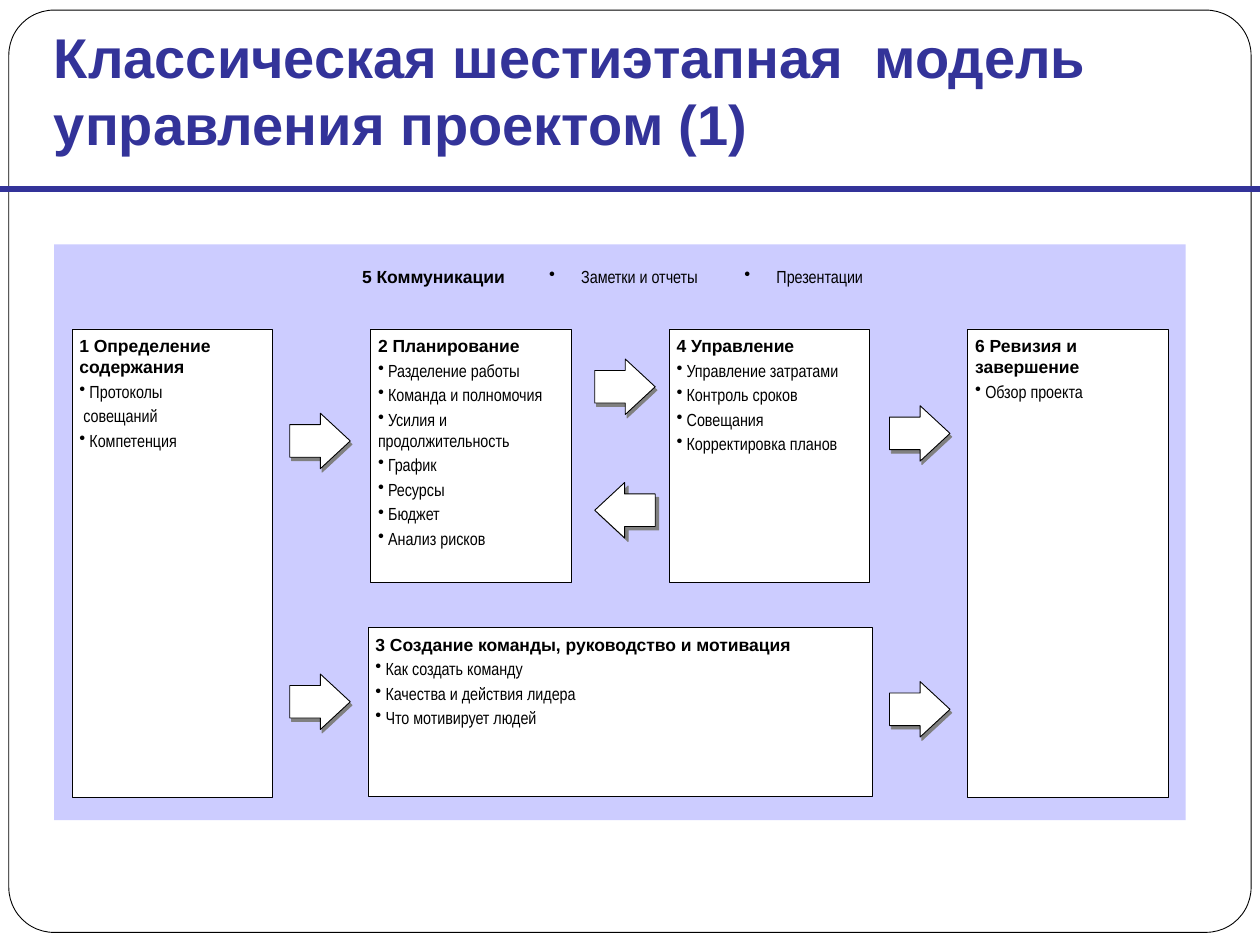
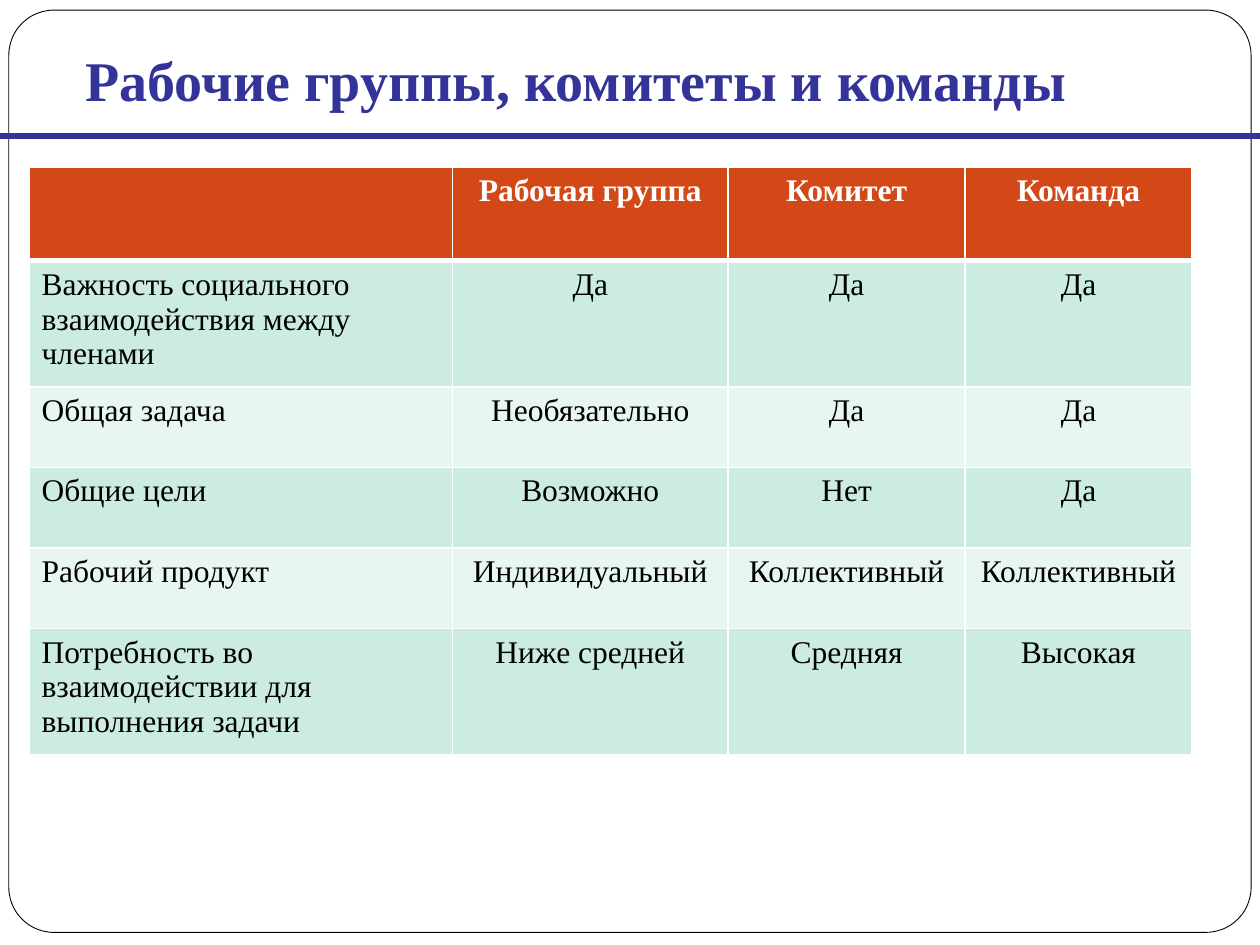
from dataclasses import dataclass

import pptx
import pptx.dml.color
import pptx.enum.shapes
import pptx.enum.text
import pptx.oxml
import pptx.oxml.ns
import pptx.util

Pt = pptx.util.Pt
PRESET = pptx.enum.shapes.MSO_SHAPE
ALIGN = pptx.enum.text.PP_ALIGN
ANCHOR = pptx.enum.text.MSO_ANCHOR


@dataclass(frozen=True)
class Theme:
    navy: str = "333399"
    black: str = "000000"
    white: str = "FFFFFF"
    lavender: str = "CCCCFF"
    shadow: str = "808080"
    header: str = "D34817"
    bands: tuple = ("CBECDE", "E7F6EF")
    sans: str = "Arial"
    narrow: str = "Arial Narrow"
    serif: str = "Times New Roman"
    title_size: int = 32
    table_size: int = 18
    small_size: int = 10


THEME = Theme()
BOX_INSETS = (4.32, 3.6)
LABEL_INSETS = (1.44, 3.6)

COLUMN_LEFT, COLUMN_STEP, COLUMN_WIDTH = 41.04, 170.64, 114.48
BOX_TOP, TALL_BOX, SHORT_BOX = 187.92, 267.84, 144.72

# Column, height, heading, items; an item is (text, has a bullet)
STAGES = [
    (0, TALL_BOX, "1 Определение содержания",
     [("Протоколы", True), ("совещаний", False), ("Компетенция", True)]),
    (1, SHORT_BOX, "2 Планирование",
     [("Разделение работы", True), ("Команда и полномочия", True),
      ("Усилия и продолжительность", True), ("График", True),
      ("Ресурсы", True), ("Бюджет", True), ("Анализ рисков", True)]),
    (2, SHORT_BOX, "4 Управление",
     [("Управление затратами", True), ("Контроль сроков", True),
      ("Совещания", True), ("Корректировка планов", True)]),
    (3, TALL_BOX, "6 Ревизия и завершение", [("Обзор проекта", True)]),
]
TEAM_STAGE = ("3 Создание команды, руководство и мотивация",
              [("Как создать команду", True),
               ("Качества и действия лидера", True),
               ("Что мотивирует людей", True)])

RIGHT_ARROWS = [(165.6, 236.16), (165.6, 385.2), (339.84, 205.2),
                (508.32, 231.84), (508.32, 389.52)]
LEFT_ARROW = (339.84, 275.76)

GROUP_COLUMNS = [241.92, 157.68, 135.36, 129.6]
GROUP_HEIGHTS = [53.28, 72, 46.08, 46.08, 46.08, 72]
GROUP_ROWS = [
    ("", "Рабочая группа", "Комитет", "Команда"),
    ("Важность социального взаимодействия между членами", "Да", "Да", "Да"),
    ("Общая задача", "Необязательно", "Да", "Да"),
    ("Общие цели", "Возможно", "Нет", "Да"),
    ("Рабочий продукт", "Индивидуальный", "Коллективный", "Коллективный"),
    ("Потребность во взаимодействии для выполнения задачи",
     "Ниже средней", "Средняя", "Высокая"),
]


def color(value):
    return pptx.dml.color.RGBColor.from_string(value)


def add_xml(parent, content):
    """Append an element given as text in the drawing namespace."""
    tag, rest = content[1:].split(" ", 1)
    namespace = pptx.oxml.ns.nsdecls("a")
    parent.append(pptx.oxml.parse_xml(f"<{tag} {namespace} {rest}"))


def add_run(paragraph, text, font, size, text_color=THEME.black, bold=False):
    run = paragraph.add_run()
    run.text = text
    run.font.name = font
    run.font.size = Pt(size)
    run.font.bold = bold
    run.font.color.rgb = color(text_color)


def set_bullet(paragraph, margin=0, hanging=0):
    properties = paragraph._p.get_or_add_pPr()
    properties.set("marL", str(Pt(margin)))
    properties.set("indent", str(-Pt(hanging)))
    add_xml(properties, '<a:buChar char="•"/>')


def set_insets(frame, horizontal, vertical):
    frame.margin_left = frame.margin_right = Pt(horizontal)
    frame.margin_top = frame.margin_bottom = Pt(vertical)
    frame.word_wrap = True


def add_shape(slide, preset, bounds, fill, line=None, width=0.5):
    shape = slide.shapes.add_shape(preset, *map(Pt, bounds))
    shape.shadow.inherit = False
    shape.fill.solid()
    shape.fill.fore_color.rgb = color(fill)
    if line:
        shape.line.color.rgb = color(line)
        shape.line.width = Pt(width)
    else:
        shape.line.fill.background()
    return shape


def add_text_box(slide, bounds, insets):
    frame = slide.shapes.add_textbox(*map(Pt, bounds)).text_frame
    set_insets(frame, *insets)
    return frame


def add_titled_slide(presentation, title, font, bounds, rule_top):
    """Add a slide with the rounded frame, the title and the rule below it."""
    slide = presentation.slides.add_slide(presentation.slide_layouts[6])
    frame = add_shape(slide, PRESET.ROUNDED_RECTANGLE,
                      (5.04, 5.76, 709.92, 527.04), THEME.white, THEME.black)
    frame.adjustments[0] = 0.049
    title_frame = add_text_box(slide, bounds, (7.2, 3.6))
    title_frame.vertical_anchor = ANCHOR.MIDDLE
    add_run(title_frame.paragraphs[0], title, font, THEME.title_size,
            THEME.navy, True)
    rule = slide.shapes.add_connector(
        pptx.enum.shapes.MSO_CONNECTOR.STRAIGHT,
        0, Pt(rule_top), presentation.slide_width, Pt(rule_top))
    rule.line.color.rgb = color(THEME.navy)
    rule.line.width = Pt(3)
    add_xml(rule._element.spPr, "<a:effectLst />")
    return slide


def add_stage(slide, bounds, heading, items):
    box = add_shape(slide, PRESET.RECTANGLE, bounds, THEME.white,
                    THEME.black, 0.25)
    frame = box.text_frame
    set_insets(frame, *BOX_INSETS)
    frame.vertical_anchor = ANCHOR.TOP
    add_run(frame.paragraphs[0], heading, THEME.sans, THEME.small_size,
            bold=True)
    for text, has_bullet in items:
        paragraph = frame.add_paragraph()
        add_run(paragraph, " " + text, THEME.narrow, THEME.small_size)
        if has_bullet:
            paragraph.space_before = Pt(2)
            set_bullet(paragraph)
    for paragraph in frame.paragraphs:
        paragraph.alignment = ALIGN.LEFT
        paragraph.space_before = Pt(2)


def add_arrow(slide, preset, position, distance, angle):
    arrow = add_shape(slide, preset, (*position, 34.56, 31.68),
                      THEME.white, THEME.black)
    arrow.adjustments[0] = 0.587
    arrow.adjustments[1] = 0.539
    effects = arrow._element.spPr.find(pptx.oxml.ns.qn("a:effectLst"))
    add_xml(effects, f'<a:outerShdw dist="{Pt(distance)}" dir="{angle * 60000}"'
                     ' algn="ctr" rotWithShape="0">'
                     f'<a:srgbClr val="{THEME.shadow}"/></a:outerShdw>')


def add_label(slide, left, width, text, heading=False):
    frame = add_text_box(slide, (left, 148.32, width, 26.64),
                         BOX_INSETS if heading else LABEL_INSETS)
    paragraph = frame.paragraphs[0]
    paragraph.alignment = ALIGN.CENTER
    paragraph.space_before = Pt(2)
    if heading:
        add_run(paragraph, text, THEME.sans, THEME.small_size, bold=True)
    else:
        add_run(paragraph, " " + text, THEME.narrow, THEME.small_size)
        set_bullet(paragraph, 5, 16)


def set_cell_borders(cell, row_index):
    """Draw white borders, thicker between the header and the body."""
    properties = cell._tc.get_or_add_tcPr()
    thick = {0: "lnB", 1: "lnT"}.get(row_index)
    for position, side in enumerate(("lnL", "lnR", "lnT", "lnB")):
        width = Pt(3 if side == thick else 1)
        border = pptx.oxml.parse_xml(
            f'<a:{side} {pptx.oxml.ns.nsdecls("a")} w="{width}"><a:solidFill>'
            f'<a:srgbClr val="{THEME.white}"/></a:solidFill></a:{side}>')
        properties.insert(position, border)


def add_group_table(slide):
    table = slide.shapes.add_table(
        len(GROUP_ROWS), len(GROUP_COLUMNS), Pt(16.56), Pt(95.76),
        Pt(sum(GROUP_COLUMNS)), Pt(sum(GROUP_HEIGHTS))).table
    for column, width in zip(table.columns, GROUP_COLUMNS):
        column.width = Pt(width)
    for row_index, texts in enumerate(GROUP_ROWS):
        is_header = row_index == 0
        table.rows[row_index].height = Pt(GROUP_HEIGHTS[row_index])
        fill = THEME.header if is_header else THEME.bands[(row_index - 1) % 2]
        for column_index, text in enumerate(texts):
            cell = table.cell(row_index, column_index)
            cell.fill.solid()
            cell.fill.fore_color.rgb = color(fill)
            set_cell_borders(cell, row_index)
            if text:
                paragraph = cell.text_frame.paragraphs[0]
                paragraph.alignment = ALIGN.CENTER if column_index else ALIGN.LEFT
                add_run(paragraph, text, THEME.serif, THEME.table_size,
                        THEME.white if is_header else THEME.black, is_header)


def build_model_slide(presentation):
    slide = add_titled_slide(
        presentation, "Классическая шестиэтапная  модель управления проектом (1)",
        THEME.sans, (23.76, 0, 696.24, 102.24), 108)
    add_shape(slide, PRESET.RECTANGLE, (30.96, 139.68, 646.56, 329.04),
              THEME.lavender)
    add_label(slide, 195.12, 105.12, "5 Коммуникации", heading=True)
    add_label(slide, 309.6, 104.4, "Заметки и отчеты")
    add_label(slide, 417.6, 94.32, "Презентации")
    for position in RIGHT_ARROWS:
        add_arrow(slide, PRESET.RIGHT_ARROW, position, 2.2, 63)
    add_arrow(slide, PRESET.LEFT_ARROW, LEFT_ARROW, 2.8, 45)
    for column, height, heading, items in STAGES:
        left = COLUMN_LEFT + column * COLUMN_STEP
        add_stage(slide, (left, BOX_TOP, COLUMN_WIDTH, height), heading, items)
    add_stage(slide, (210.24, 358.56, 288, 96.48), *TEAM_STAGE)


def build_groups_slide(presentation):
    slide = add_titled_slide(
        presentation, "Рабочие группы, комитеты и команды",
        THEME.serif, (41.76, 0, 671.76, 90), 77.76)
    add_group_table(slide)


def main():
    presentation = pptx.Presentation()
    presentation.slide_width = Pt(720)
    presentation.slide_height = Pt(540)
    build_model_slide(presentation)
    build_groups_slide(presentation)
    presentation.save("out.pptx")


if __name__ == "__main__":
    main()
